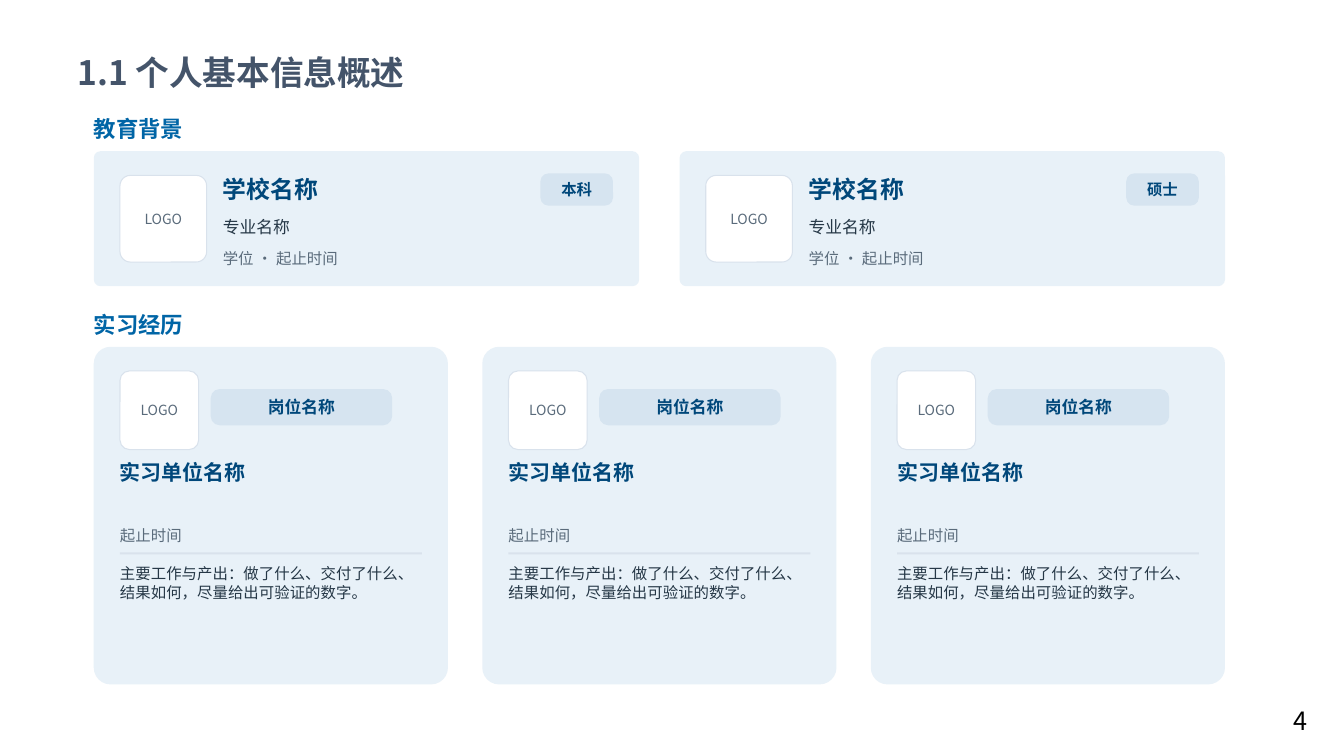
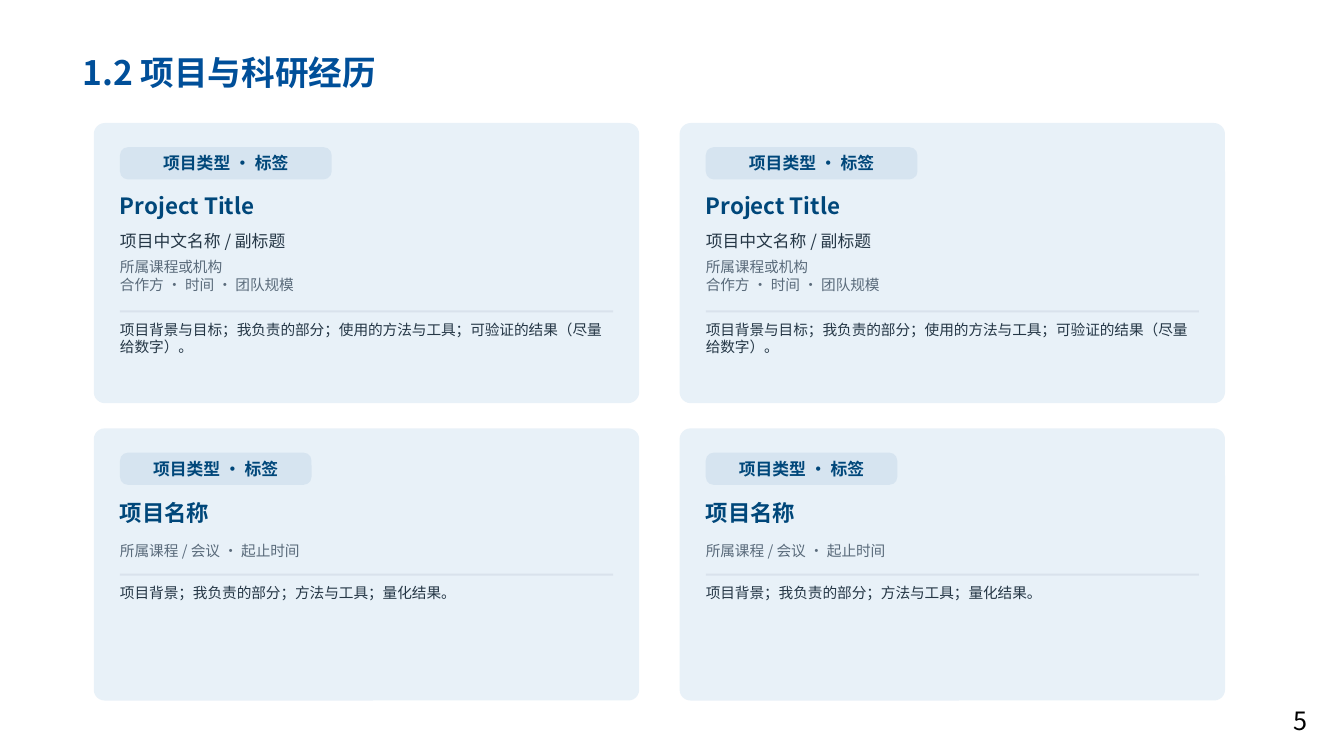
from lxml import etree
from pptx import Presentation
from pptx.dml.color import RGBColor
from pptx.enum.shapes import MSO_SHAPE
from pptx.enum.text import MSO_ANCHOR, PP_ALIGN
from pptx.oxml.ns import qn
from pptx.util import Inches, Pt

ROUND, RECT = MSO_SHAPE.ROUNDED_RECTANGLE, MSO_SHAPE.RECTANGLE
TOP, MIDDLE = MSO_ANCHOR.TOP, MSO_ANCHOR.MIDDLE
LEFT, CENTER, RIGHT = PP_ALIGN.LEFT, PP_ALIGN.CENTER, PP_ALIGN.RIGHT

FONT = "Noto Sans CJK SC"
BLACK, WHITE = "000000", "FFFFFF"
SLATE, BLUE = "44546A", "004F99"
HEAD, NAVY = "0065A6", "00477A"
INK, GRAY = "253746", "5A6B7B"
CARD, PILL, EDGE = "E8F1F8", "D6E4F0", "D9E2EC"

MARGIN, SPAN = 0.93, 11.22
PAD = 0.26


def color(code):
    return RGBColor.from_string(code)


def write(frame, text, size, ink, bold=False, align=LEFT, anchor=MIDDLE, inset=(0, 0)):
    frame.word_wrap = True
    frame.vertical_anchor = anchor
    frame.margin_left = frame.margin_right = Inches(inset[0])
    frame.margin_top = frame.margin_bottom = Inches(inset[1])
    frame.text = text
    for para in frame.paragraphs:
        para.alignment = align
        font = para.font
        font.name, font.size, font.bold = FONT, Pt(size), bold
        font.color.rgb = color(ink)
        # East Asian text takes its typeface from a separate element.
        props = para._p.pPr.find(qn("a:defRPr"))
        etree.SubElement(props, qn("a:ea"), typeface=FONT)


def label(slide, x, y, w, h, text, size, ink, **style):
    box = slide.shapes.add_textbox(Inches(x), Inches(y), Inches(w), Inches(h))
    write(box.text_frame, text, size, ink, **style)
    return box


def block(slide, x, y, w, h, fill, bend=0, line=None):
    """Draw a filled rectangle, rounded when bend is given."""
    kind = ROUND if bend else RECT
    shape = slide.shapes.add_shape(kind, Inches(x), Inches(y), Inches(w), Inches(h))
    shape.shadow.inherit = False
    if bend:
        shape.adjustments[0] = bend
    shape.fill.solid()
    shape.fill.fore_color.rgb = color(fill)
    if line:
        shape.line.color.rgb = color(line)
        shape.line.width = Pt(0.75)
    else:
        shape.line.fill.background()
    return shape


def pill(slide, x, y, w, h, text, size=12):
    shape = block(slide, x, y, w, h, PILL, 0.25)
    write(shape.text_frame, text, size, NAVY, bold=True, align=CENTER)


def logo(slide, x, y, side):
    shape = block(slide, x, y, side, side, WHITE, 0.12, EDGE)
    write(shape.text_frame, "LOGO", 10, GRAY, align=CENTER)


def rule(slide, x, y, w):
    block(slide, x, y, w, 0.02, EDGE)


def columns(count, gap):
    """Return the left edges and the width of equal columns."""
    width = (SPAN - gap * (count - 1)) / count
    return [MARGIN + i * (width + gap) for i in range(count)], width


def page(deck, number):
    slide = deck.slides.add_slide(deck.slide_layouts[6])
    label(slide, 10.07, 6.95, 3, 0.4, str(number), 18, BLACK,
          align=RIGHT, anchor=TOP, inset=(0.1, 0.05))
    return slide


def title(slide, x, y, w, h, text, ink):
    return label(slide, x, y, w, h, text, 24, ink, bold=True, inset=(0.1, 0.05))


def section(slide, y, text):
    label(slide, MARGIN, y, 4, 0.32, text, 16, HEAD, bold=True)


def school(slide, x, y, w, degree):
    block(slide, x, y, w, 1.34, CARD, 0.05)
    logo(slide, x + PAD, y + 0.24, 0.86)
    pill(slide, x + w - PAD - 0.72, y + 0.22, 0.72, 0.32, degree, 11)
    left = x + 1.28
    label(slide, left, y + 0.2, 3, 0.36, "学校名称", 17, NAVY, bold=True)
    label(slide, left, y + 0.6, 3.85, 0.3, "专业名称", 12, INK)
    label(slide, left, y + 0.92, 3.85, 0.28, "学位 · 起止时间", 11, GRAY)


def intern(slide, x, y, w):
    block(slide, x, y, w, 3.35, CARD, 0.05)
    left, inner = x + PAD, w - 2 * PAD
    logo(slide, left, y + 0.24, 0.78)
    pill(slide, left + 0.9, y + 0.42, 1.8, 0.36, "岗位名称")
    label(slide, left, y + 1.12, inner, 0.62, "实习单位名称", 15, NAVY, bold=True, anchor=TOP)
    label(slide, left, y + 1.74, inner, 0.26, "起止时间", 11, GRAY)
    rule(slide, left, y + 2.04, inner)
    label(slide, left, y + 2.16, inner, 1.02,
          "主要工作与产出：做了什么、交付了什么、结果如何，尽量给出可验证的数字。",
          11, INK, anchor=TOP)


def project(slide, x, y, w, h, tag, name, meta, line, body):
    """Draw a project card; name and meta rows are (offset, height, text, ...)."""
    block(slide, x, y, w, h, CARD, 0.04)
    left, inner = x + PAD, w - 2 * PAD
    pill(slide, left, y + 0.24, tag, 0.32, "项目类型 · 标签")
    top, text = name
    label(slide, left, y + top, inner, 0.36, text, 16, NAVY, bold=True)
    for top, high, text, size, ink, anchor in meta:
        label(slide, left, y + top, inner, high, text, size, ink, anchor=anchor)
    rule(slide, left, y + line, inner)
    high, text = body
    label(slide, left, y + line + 0.1, inner, high, text, 10.5, INK, anchor=TOP)


def profile(deck):
    slide = page(deck, 4)
    title(slide, 0.67, 0.44, 8.68, 0.55, "1.1 个人基本信息概述", SLATE)
    section(slide, 1.12, "教育背景")
    lefts, width = columns(2, 0.4)
    for x, degree in zip(lefts, ("本科", "硕士")):
        school(slide, x, 1.5, width, degree)
    section(slide, 3.06, "实习经历")
    lefts, width = columns(3, 0.34)
    for x in lefts:
        intern(slide, x, 3.44, width)


def projects(deck):
    slide = page(deck, 5)
    box = title(slide, 0.72, 0.42, 7.71, 0.64, "1.2 项目与科研经历", BLUE)
    box.text_frame.paragraphs[0].line_spacing = 0.9
    major = dict(
        y=1.22, h=2.78, tag=2.1, name=(0.64, "Project Title"), line=1.86,
        meta=[(1.02, 0.3, "项目中文名称 / 副标题", 12, INK, MIDDLE),
              (1.34, 0.46, "所属课程或机构\n合作方 · 时间 · 团队规模", 10.5, GRAY, TOP)],
        body=(0.74, "项目背景与目标；我负责的部分；使用的方法与工具；可验证的结果（尽量给数字）。"))
    minor = dict(
        y=4.25, h=2.7, tag=1.9, name=(0.66, "项目名称"), line=1.44,
        meta=[(1.08, 0.26, "所属课程 / 会议 · 起止时间", 10.5, GRAY, MIDDLE)],
        body=(1.02, "项目背景；我负责的部分；方法与工具；量化结果。"))
    lefts, width = columns(2, 0.4)
    for card in (major, minor):
        for x in lefts:
            project(slide, x, w=width, **card)


def main():
    deck = Presentation()
    deck.slide_width, deck.slide_height = Inches(13.33), Inches(7.5)
    profile(deck)
    projects(deck)
    deck.save("out.pptx")


if __name__ == "__main__":
    main()
